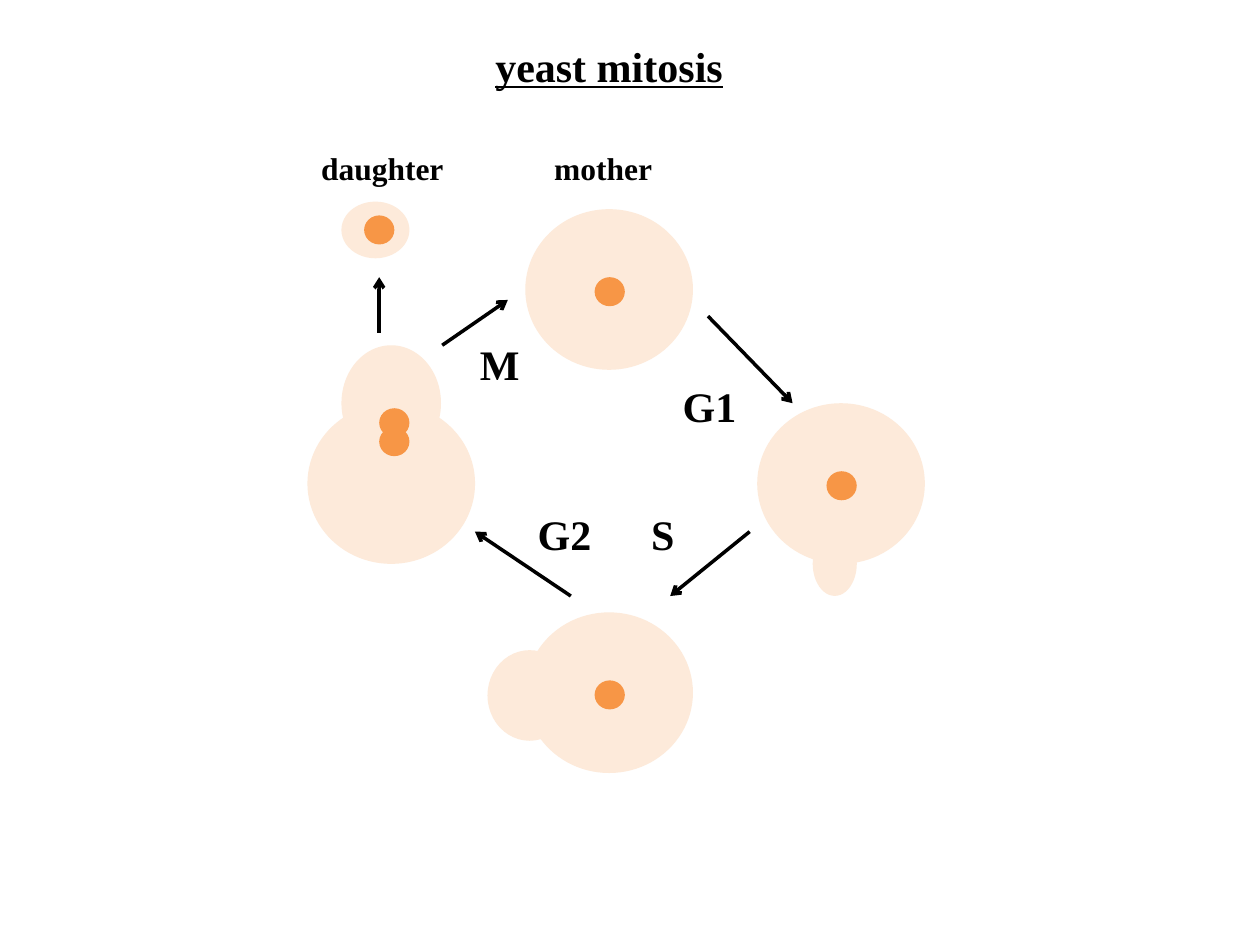
from pptx import Presentation
from pptx.dml.color import RGBColor
from pptx.enum.shapes import MSO_CONNECTOR, MSO_SHAPE
from pptx.enum.text import MSO_ANCHOR, MSO_AUTO_SIZE, PP_ALIGN
from pptx.oxml.ns import qn
from pptx.util import Pt
from lxml import etree

OVAL = MSO_SHAPE.OVAL
STRAIGHT = MSO_CONNECTOR.STRAIGHT
TOP = MSO_ANCHOR.TOP
LEFT = PP_ALIGN.LEFT
FIXED_SIZE = MSO_AUTO_SIZE.NONE

COLORS = {"cytoplasm": "FDEADA", "nucleus": "F79646", "ink": "000000"}
FONT = "Times New Roman"
TITLE_ONLY = 5

CELL_SIZE = (95.8, 91.8)
NUCLEUS_SIZE = (17.3, 16.6)
NUCLEUS_OFFSET = (39.6, 38.9)

# Cells with a centred nucleus: cell corner, bud box (left, top, width, height)
CENTRED_CELLS = [
    ((300.2, 119.5), None),
    ((432.7, 230.4), (464.4, 303.8, 25.2, 36.7)),
    ((300.2, 349.9), (278.6, 371.5, 48.2, 51.8)),
]
DIVIDING_CELL = (175.7, 230.4)
DIVIDING_BUD = (195.1, 197.3, 56.9, 66.2)
DIVIDING_NUCLEI = [(216.7, 244.1), (216.7, 233.3)]
DAUGHTER_CELL = (195.1, 115.2, 38.9, 32.4)
DAUGHTER_NUCLEUS = (208.1, 123.1)

# Text, size, box
LABELS = [
    ("daughter", 18, (176.4, 81.4, 86.4, 50.4)),
    ("mother", 18, (309.6, 81.4, 86.4, 29)),
    ("G1", 24, (383, 213.8, 46.8, 36)),
    ("S", 24, (365, 287.3, 46.8, 36)),
    ("G2", 24, (300.2, 287.3, 46.1, 36)),
    ("M", 24, (267.1, 190.1, 46.1, 36)),
]

# Start and end points
STEPS = [
    ((404.6, 180.7), (452.9, 230.4)),
    ((428.4, 303.8), (383, 340.6)),
    ((326.2, 340.6), (271.4, 303.8)),
    ((252.7, 197.3), (290.2, 171.4)),
    ((216.7, 190.1), (216.7, 158.4)),
]


class Diagram:
    def __init__(self, slide):
        self.slide = slide

    def set_text(self, frame, text, size, underline=None):
        frame.word_wrap = True
        frame.auto_size = FIXED_SIZE
        frame.vertical_anchor = TOP
        paragraph = frame.paragraphs[0]
        paragraph.alignment = LEFT
        run = paragraph.add_run()
        run.text = text
        font = run.font
        font.name, font.size = FONT, Pt(size)
        font.bold, font.underline = True, underline
        font.color.rgb = RGBColor.from_string(COLORS["ink"])

    def title(self, text, size, box):
        title = self.slide.shapes.title
        title.left, title.top, title.width, title.height = map(Pt, box)
        self.set_text(title.text_frame, text, size, underline=True)

    def label(self, text, size, box):
        label = self.slide.shapes.add_textbox(*map(Pt, box))
        self.set_text(label.text_frame, text, size)

    def oval(self, box, color):
        oval = self.slide.shapes.add_shape(OVAL, *map(Pt, box))
        oval.shadow.inherit = False
        oval.fill.solid()
        oval.fill.fore_color.rgb = RGBColor.from_string(COLORS[color])
        oval.line.fill.background()

    def cytoplasm(self, box):
        self.oval(box, "cytoplasm")

    def nucleus(self, corner):
        self.oval((*corner, *NUCLEUS_SIZE), "nucleus")

    def arrow(self, start, end):
        arrow = self.slide.shapes.add_connector(STRAIGHT, *map(Pt, (*start, *end)))
        arrow.line.width = Pt(2)
        arrow.line.color.rgb = RGBColor.from_string(COLORS["ink"])
        properties = arrow.element.spPr
        etree.SubElement(properties.find(qn("a:ln")), qn("a:tailEnd"), type="arrow")
        etree.SubElement(properties, qn("a:effectLst"))


def main():
    prs = Presentation()
    prs.slide_width, prs.slide_height = Pt(720), Pt(540)
    diagram = Diagram(prs.slides.add_slide(prs.slide_layouts[TITLE_ONLY]))

    diagram.title("yeast mitosis", 24, (275.8, 19.4, 152.6, 64.8))

    for (left, top), bud in CENTRED_CELLS:
        diagram.cytoplasm((left, top, *CELL_SIZE))
        if bud:
            diagram.cytoplasm(bud)
        diagram.nucleus((left + NUCLEUS_OFFSET[0], top + NUCLEUS_OFFSET[1]))

    diagram.cytoplasm(DIVIDING_BUD)
    diagram.cytoplasm((*DIVIDING_CELL, *CELL_SIZE))
    for corner in DIVIDING_NUCLEI:
        diagram.nucleus(corner)

    diagram.cytoplasm(DAUGHTER_CELL)
    diagram.nucleus(DAUGHTER_NUCLEUS)

    for label in LABELS:
        diagram.label(*label)
    for start, end in STEPS:
        diagram.arrow(start, end)

    prs.save("out.pptx")


if __name__ == "__main__":
    main()
